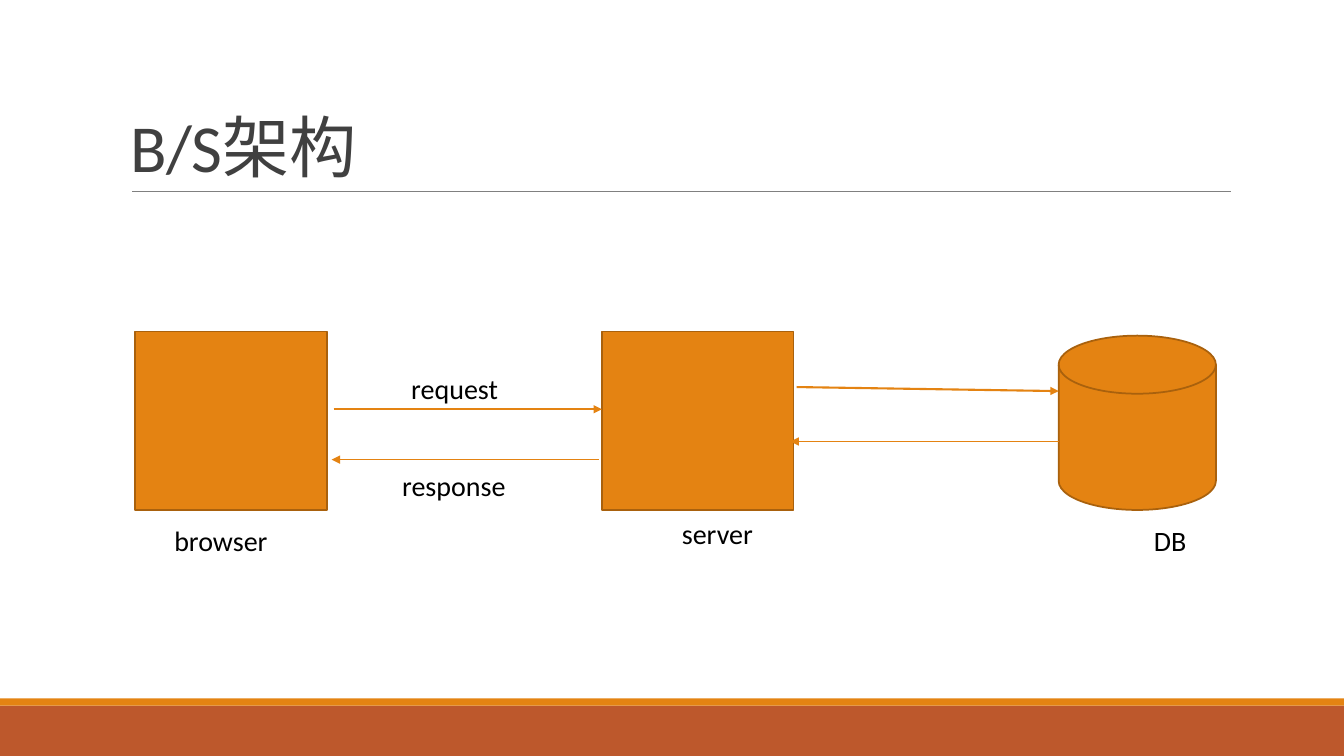
"""Build the B/S architecture slide: browser, server and database."""
from dataclasses import dataclass

from pptx import Presentation
from pptx import util as u
from pptx.dml.color import RGBColor
from pptx.enum import shapes, text
from pptx.oxml import xmlchemy as xml
from pptx.slide import Slide

ORANGE = RGBColor(0xE4, 0x83, 0x12)
DARK_ORANGE = RGBColor(0xA9, 0x61, 0x0D)
RUST = RGBColor(0xBD, 0x58, 0x2C)
GRAY = RGBColor(0x80, 0x80, 0x80)
TITLE_GRAY = RGBColor(0x40, 0x40, 0x40)
BLACK = RGBColor(0, 0, 0)

FONT = "Calibri"
SLIDE_WIDTH, SLIDE_HEIGHT = 13.33, 7.5
PROCESS = shapes.MSO_SHAPE.FLOWCHART_PROCESS
DISK = shapes.MSO_SHAPE.FLOWCHART_MAGNETIC_DISK
LEFT, CENTER = text.PP_ALIGN.LEFT, text.PP_ALIGN.CENTER


@dataclass(frozen=True)
class Block:
    """A filled shape, outlined when outline is given."""
    kind: shapes.MSO_SHAPE
    left: float
    top: float
    width: float
    height: float
    fill: RGBColor = ORANGE
    outline: RGBColor | None = None


@dataclass(frozen=True)
class Link:
    """A straight line, with an arrowhead at its end if wanted."""
    start: tuple[float, float]
    end: tuple[float, float]
    weight: float
    color: RGBColor = ORANGE
    arrow: bool = True


@dataclass(frozen=True)
class Label:
    """A caption of the diagram."""
    words: str
    left: float
    top: float
    align: text.PP_ALIGN = LEFT


BLOCKS = [
    Block(shapes.MSO_SHAPE.RECTANGLE, 0, 7, SLIDE_WIDTH, 0.5, RUST),
    Block(shapes.MSO_SHAPE.RECTANGLE, 0, 6.93, SLIDE_WIDTH, 0.07),
    Block(DISK, 10.5, 3.33, 1.56, 1.73, outline=DARK_ORANGE),
    Block(PROCESS, 1.34, 3.29, 1.9, 1.77, outline=DARK_ORANGE),
    Block(PROCESS, 5.97, 3.29, 1.9, 1.77, outline=DARK_ORANGE),
]
LINKS = [
    Link((1.31, 1.9), (12.21, 1.9), 0.5, GRAY, arrow=False),
    Link((3.31, 4.06), (5.97, 4.06), 1.5),
    Link((5.94, 4.56), (3.29, 4.56), 1),
    Link((7.9, 3.84), (10.5, 3.88), 1.5),
    Link((10.5, 4.38), (7.84, 4.38), 1),
]
LABELS = [
    Label("server", 6.31, 5.07, CENTER),
    Label("response", 3.89, 4.6),
    Label("browser", 1.63, 5.14),
    Label("request", 3.98, 3.64),
    Label("DB", 10.8, 5.14, CENTER),
]


def draw_block(slide: Slide, block: Block) -> None:
    """Draw one filled shape."""
    box = map(u.Inches, (block.left, block.top, block.width, block.height))
    shape = slide.shapes.add_shape(block.kind, *box)
    shape.shadow.inherit = False
    shape.fill.solid()
    shape.fill.fore_color.rgb = block.fill
    if block.outline is None:
        shape.line.fill.background()
    else:
        shape.line.color.rgb = block.outline
        shape.line.width = u.Pt(1.25)


def draw_link(slide: Slide, link: Link) -> None:
    """Draw one line or arrow."""
    ends = map(u.Inches, (*link.start, *link.end))
    connector = slide.shapes.add_connector(shapes.MSO_CONNECTOR.STRAIGHT, *ends)
    connector.line.color.rgb = link.color
    connector.line.width = u.Pt(link.weight)
    if link.arrow:
        outline = connector.line._get_or_add_ln()
        outline.append(xml.OxmlElement("a:tailEnd", ))
        outline[-1].set("type", "triangle")
    connector._element.spPr.append(xml.OxmlElement("a:effectLst"))


def add_text(slide: Slide, label: Label, width: float, height: float,
             size: float, color: RGBColor):
    """Add a wrapping text box and return its text frame."""
    box = map(u.Inches, (label.left, label.top, width, height))
    frame = slide.shapes.add_textbox(*box).text_frame
    frame.word_wrap = True
    paragraph = frame.paragraphs[0]
    paragraph.text = label.words
    paragraph.alignment = label.align
    paragraph.font.name = FONT
    paragraph.font.size = u.Pt(size)
    paragraph.font.color.rgb = color
    return frame


def draw_title(slide: Slide) -> None:
    """Draw the heading above the rule."""
    frame = add_text(slide, Label("B/S架构", 1.2, 0.31), 11, 1.59, 48, TITLE_GRAY)
    frame.vertical_anchor = text.MSO_ANCHOR.BOTTOM
    heading = frame.paragraphs[0]
    heading.line_spacing = 0.85
    heading.runs[0]._r.get_or_add_rPr().set("spc", "-50")


def main() -> None:
    """Build and save the slide."""
    presentation = Presentation()
    presentation.slide_width = u.Inches(SLIDE_WIDTH)
    presentation.slide_height = u.Inches(SLIDE_HEIGHT)
    slide = presentation.slides.add_slide(presentation.slide_layouts[6])
    for block in BLOCKS:
        draw_block(slide, block)
    for link in LINKS:
        draw_link(slide, link)
    draw_title(slide)
    for label in LABELS:
        frame = add_text(slide, label, 1.61, 0.44, 20, BLACK)
        frame.auto_size = text.MSO_AUTO_SIZE.SHAPE_TO_FIT_TEXT
    presentation.save("out.pptx")


if __name__ == "__main__":
    main()
